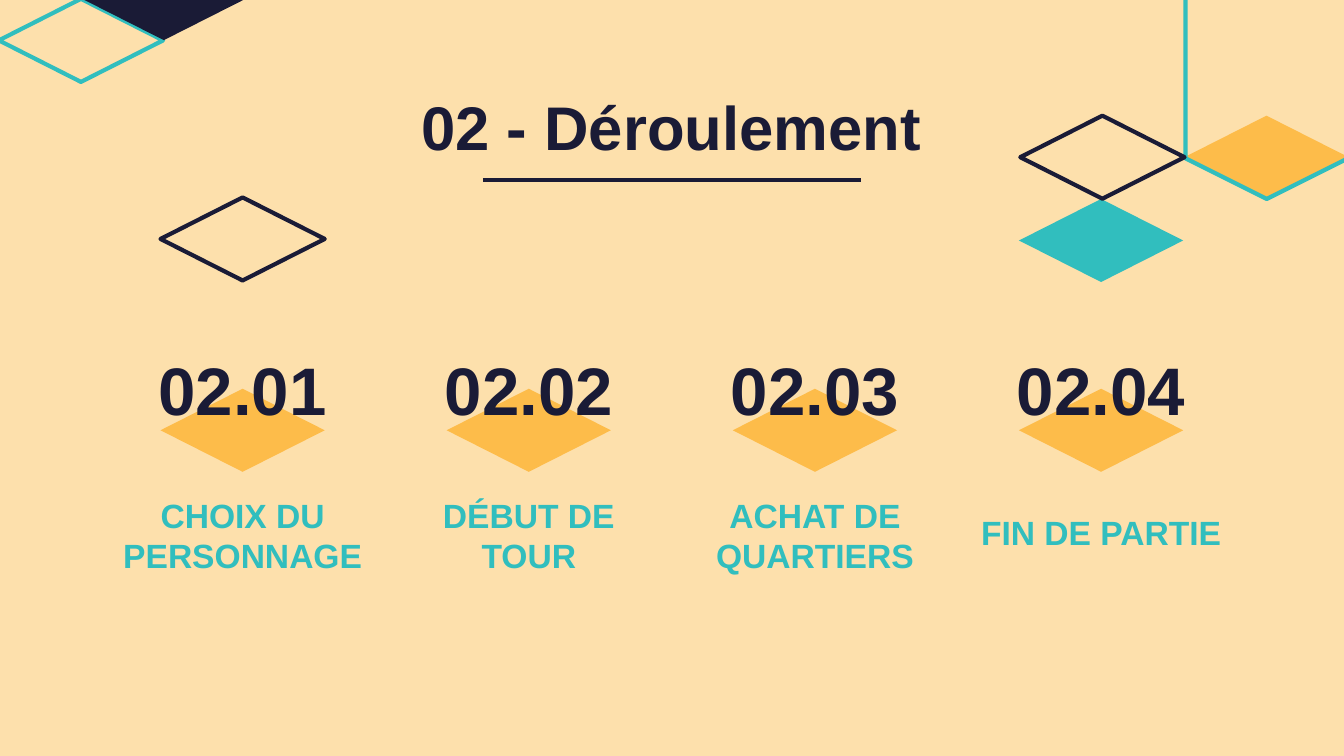
from dataclasses import dataclass
from typing import Optional

from lxml.etree import SubElement
from pptx import Presentation
from pptx.dml.color import RGBColor
from pptx.enum.shapes import MSO_CONNECTOR as Connector, MSO_SHAPE as Preset
from pptx.enum.text import MSO_ANCHOR as Anchor, PP_ALIGN as Align
from pptx.oxml.ns import qn
from pptx.slide import Slide
from pptx.util import Pt


@dataclass(frozen=True)
class Theme:
    sand: RGBColor = RGBColor(0xFD, 0xE0, 0xAC)
    navy: RGBColor = RGBColor(0x1A, 0x1B, 0x36)
    teal: RGBColor = RGBColor(0x31, 0xBE, 0xBE)
    amber: RGBColor = RGBColor(0xFD, 0xBC, 0x4A)
    font: str = "Arial"
    title_size: float = 33
    number_size: float = 36
    label_size: float = 18
    stroke: float = 2.25


@dataclass(frozen=True)
class Ornament:
    left: float
    top: float
    fill: Optional[RGBColor] = None
    line: Optional[RGBColor] = None
    width: float = 88
    height: float = 44.5
    preset: Preset = Preset.DIAMOND
    rotation: float = 0


@dataclass(frozen=True)
class Caption:
    text: str
    left: float
    top: float
    width: float
    height: float
    size: float
    color: RGBColor
    anchor: Anchor = Anchor.TOP


@dataclass(frozen=True)
class Step:
    number: str
    label: str
    label_top: float = 257.8


THEME = Theme()
FIRST_CENTER, STEP_PITCH = 130, 153.3
NUMBER_WIDTH, LABEL_WIDTH = 122, 148
INSET = 7.2

STEPS = [
    Step("02.01", "CHOIX DU PERSONNAGE"),
    Step("02.02", "DÉBUT DE TOUR"),
    Step("02.03", "ACHAT DE QUARTIERS"),
    Step("02.04", "FIN DE PARTIE", label_top=267.1),
]

AMBER_CORNER = Ornament(634.5, 62, fill=THEME.amber)
ORNAMENTS = [
    AMBER_CORNER,
    Ornament(86, 105.8, line=THEME.navy),
    Ornament(-0.6, -0.6, line=THEME.teal),
    Ornament(43.8, -23, fill=THEME.navy),
    Ornament(600.4, -15.2, line=THEME.teal, width=156.4, height=87.2,
             preset=Preset.HEXAGON, rotation=90),
    Ornament(545.9, 106.6, fill=THEME.teal),
    Ornament(546.6, 62, line=THEME.navy),
]


def draw_ornament(slide: Slide, item: Ornament) -> None:
    shape = slide.shapes.add_shape(
        item.preset, Pt(item.left), Pt(item.top), Pt(item.width), Pt(item.height))
    shape.shadow.inherit = False
    shape.rotation = item.rotation
    if item.fill is None:
        shape.fill.background()
    else:
        shape.fill.solid()
        shape.fill.fore_color.rgb = item.fill
    if item.line is None:
        shape.line.fill.background()
    else:
        shape.line.color.rgb = item.line
        shape.line.width = Pt(THEME.stroke)
        SubElement(shape.line._get_or_add_ln(), qn("a:round"))


def draw_caption(slide: Slide, item: Caption) -> None:
    frame = slide.shapes.add_textbox(
        Pt(item.left), Pt(item.top), Pt(item.width), Pt(item.height)).text_frame
    frame.word_wrap = True
    frame.vertical_anchor = item.anchor
    frame.margin_left = frame.margin_right = Pt(INSET)
    frame.margin_top = frame.margin_bottom = Pt(INSET)
    paragraph = frame.paragraphs[0]
    paragraph.text = item.text
    paragraph.alignment = Align.CENTER
    paragraph.font.name = THEME.font
    paragraph.font.size = Pt(item.size)
    paragraph.font.bold = True
    paragraph.font.color.rgb = item.color


def draw_step(slide: Slide, step: Step, center: float) -> None:
    draw_ornament(slide, Ornament(center - 44, 208.3, fill=THEME.amber))
    draw_caption(slide, Caption(
        step.number, center - NUMBER_WIDTH / 2, 179.3, NUMBER_WIDTH, 58.3,
        THEME.number_size, THEME.navy, Anchor.MIDDLE))
    draw_caption(slide, Caption(
        step.label, center - LABEL_WIDTH / 2, step.label_top, LABEL_WIDTH, 28,
        THEME.label_size, THEME.teal))


def draw_title_rule(slide: Slide) -> None:
    rule = slide.shapes.add_connector(
        Connector.STRAIGHT, Pt(258.75), Pt(96.4), Pt(461.25), Pt(96.4))
    rule.line.color.rgb = THEME.navy
    rule.line.width = Pt(THEME.stroke)
    SubElement(rule._element.spPr, qn("a:effectLst"))


def main() -> None:
    deck = Presentation()
    deck.slide_width, deck.slide_height = Pt(720), Pt(405)
    slide = deck.slides.add_slide(deck.slide_layouts[6])
    slide.background.fill.solid()
    slide.background.fill.fore_color.rgb = THEME.sand

    for ornament in ORNAMENTS:
        draw_ornament(slide, ornament)
    draw_caption(slide, Caption(
        "02 - Déroulement", 48.2, 46.8, 622.8, 47.5,
        THEME.title_size, THEME.navy, Anchor.BOTTOM))
    draw_title_rule(slide)
    for index, step in enumerate(STEPS):
        draw_step(slide, step, FIRST_CENTER + index * STEP_PITCH)

    deck.save("out.pptx")


if __name__ == "__main__":
    main()
